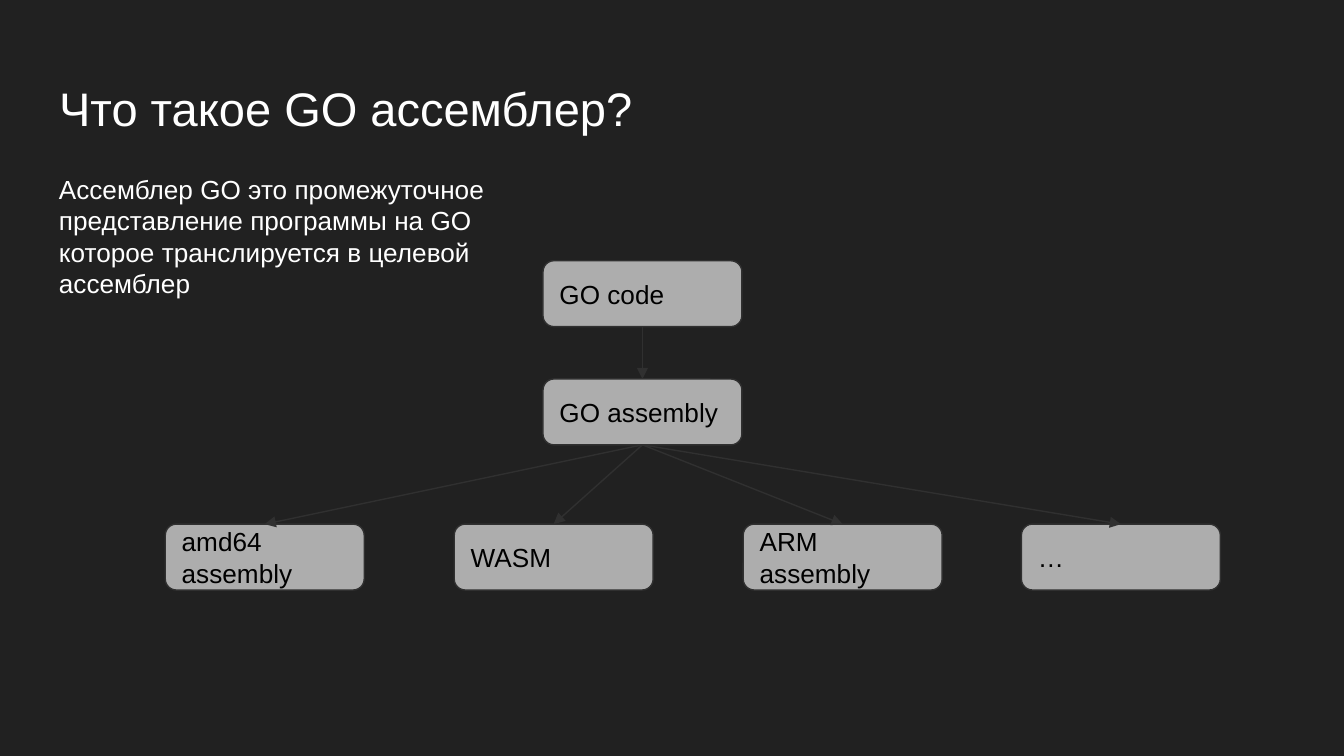
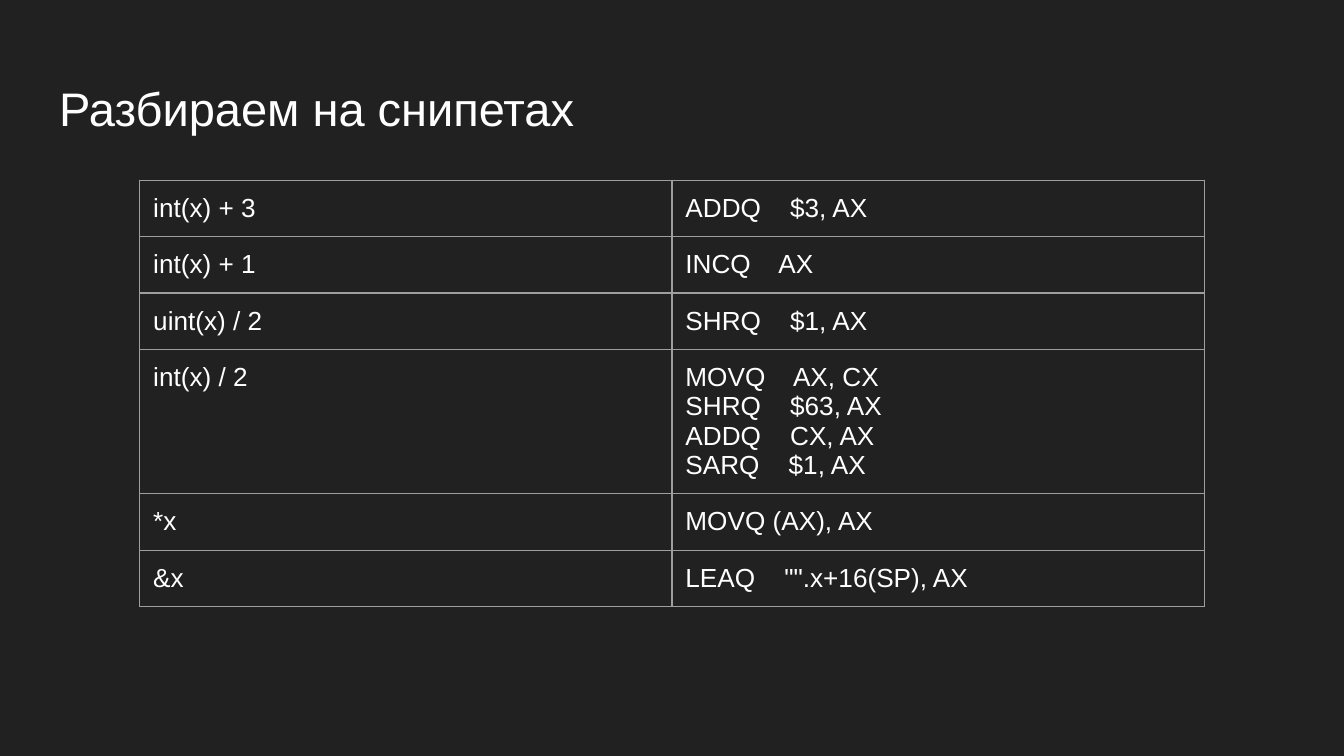
from lxml.etree import SubElement
from pptx import Presentation
from pptx.dml.color import RGBColor
from pptx.enum.shapes import MSO_CONNECTOR, MSO_SHAPE
from pptx.enum.text import MSO_ANCHOR, MSO_AUTO_SIZE, PP_ALIGN
from pptx.oxml.ns import qn
from pptx.util import Inches, Pt

# Content
TITLES = ["Что такое GO ассемблер?", "Разбираем на снипетах"]
INTRO = ("Ассемблер GO это промежуточное представление программы на GO "
         "которое транслируется в целевой ассемблер")
STAGES = [("GO code", 1.94), ("GO assembly", 2.82)]
TARGETS = [("amd64 assembly", 1.23), ("WASM", 3.38),
           ("ARM assembly", 5.53), ("…", 7.6)]
SNIPPETS = [
    ("int(x) + 3", ["ADDQ    $3, AX"]),
    ("int(x) + 1", ["INCQ    AX"]),
    ("uint(x) / 2", ["SHRQ    $1, AX"]),
    ("int(x) / 2", ["MOVQ    AX, CX", "SHRQ    $63, AX",
                    "ADDQ    CX, AX", "SARQ    $1, AX"]),
    ("*x", ["MOVQ (AX), AX"]),
    ("&x", ['LEAQ    "".x+16(SP), AX']),
]

# Shared style
COLORS = {"bg": "212121", "text": "FFFFFF", "box": "ADADAD",
          "box_text": "000000", "line": "303030", "grid": "9E9E9E"}
FONT = "Arial"
TITLE_SIZE, BODY_SIZE = 25.2, 14
INSET = Inches(0.1)
LINE_WIDTH = Pt(0.75)
MARGIN = 0.34
BOX_W, BOX_H = 1.48, 0.49
STAGE_X, TARGET_Y = 4.04, 3.9
COL_W, ROW_H = 3.96, 0.42


def rgb(name):
    return RGBColor.from_string(COLORS[name])


def write(tf, lines, size=BODY_SIZE, color="text"):
    tf.word_wrap = True
    for i, line in enumerate(lines):
        p = tf.paragraphs[0] if i == 0 else tf.add_paragraph()
        p.alignment = PP_ALIGN.LEFT
        p.line_spacing = 1.0
        r = p.add_run()
        r.text = line
        r.font.name = FONT
        r.font.size = Pt(size)
        r.font.color.rgb = rgb(color)


def set_insets(item):
    item.margin_left = item.margin_right = INSET
    item.margin_top = item.margin_bottom = INSET


def add_slide(prs, title):
    s = prs.slides.add_slide(prs.slide_layouts[5])
    sp = s.shapes.title
    sp.left, sp.top = Inches(MARGIN), Inches(0.49)
    sp.width, sp.height = Inches(10 - 2 * MARGIN), Inches(0.63)
    tf = sp.text_frame
    set_insets(tf)
    tf.vertical_anchor = MSO_ANCHOR.TOP
    tf.auto_size = MSO_AUTO_SIZE.NONE
    write(tf, [title], TITLE_SIZE)
    return s


def add_box(s, label, x, y):
    sp = s.shapes.add_shape(MSO_SHAPE.ROUNDED_RECTANGLE, Inches(x), Inches(y),
                            Inches(BOX_W), Inches(BOX_H))
    sp.shadow.inherit = False
    sp.fill.solid()
    sp.fill.fore_color.rgb = rgb("box")
    sp.line.color.rgb = rgb("line")
    sp.line.width = LINE_WIDTH
    tf = sp.text_frame
    set_insets(tf)
    tf.vertical_anchor = MSO_ANCHOR.MIDDLE
    write(tf, [label], color="box_text")
    return sp


def add_arrow(s, source, target):
    c = s.shapes.add_connector(MSO_CONNECTOR.STRAIGHT, 0, 0, 0, 0)
    c.begin_connect(source, 2)  # bottom middle
    c.end_connect(target, 0)    # top middle
    c.line.color.rgb = rgb("line")
    c.line.width = LINE_WIDTH
    SubElement(c.line._get_or_add_ln(), qn("a:tailEnd"), type="triangle")
    SubElement(c._element.spPr, qn("a:effectLst"))


def add_borders(cell):
    tcPr = cell._tc.get_or_add_tcPr()
    for i, side in enumerate(("lnL", "lnR", "lnT", "lnB")):
        ln = tcPr.makeelement(qn("a:" + side), {"w": str(LINE_WIDTH)})
        fill = SubElement(ln, qn("a:solidFill"))
        SubElement(fill, qn("a:srgbClr"), val=COLORS["grid"])
        tcPr.insert(i, ln)


def build_diagram(prs):
    s = add_slide(prs, TITLES[0])
    code, assembly = [add_box(s, label, STAGE_X, y) for label, y in STAGES]
    targets = [add_box(s, label, x, TARGET_Y) for label, x in TARGETS]
    add_arrow(s, code, assembly)
    for target in targets:
        add_arrow(s, assembly, target)

    # Introduction
    sp = s.shapes.add_textbox(Inches(MARGIN), Inches(1.19),
                              Inches(3.7), Inches(1.14))
    set_insets(sp.text_frame)
    sp.text_frame.auto_size = MSO_AUTO_SIZE.SHAPE_TO_FIT_TEXT
    write(sp.text_frame, [INTRO])


def build_snippets(prs):
    s = add_slide(prs, TITLES[1])
    table = s.shapes.add_table(len(SNIPPETS), 2, Inches(1.04), Inches(1.34),
                               Inches(2 * COL_W),
                               Inches(ROW_H * len(SNIPPETS))).table
    table.first_row = table.horz_banding = False
    for row, (source, output) in enumerate(SNIPPETS):
        for col, lines in enumerate(([source], output)):
            cell = table.cell(row, col)
            cell.fill.background()
            set_insets(cell)
            add_borders(cell)
            write(cell.text_frame, lines)


def main():
    prs = Presentation()
    prs.slide_width = Inches(10)
    prs.slide_height = prs.slide_width * 9 // 16
    fill = prs.slide_master.background.fill
    fill.solid()
    fill.fore_color.rgb = rgb("bg")
    build_diagram(prs)
    build_snippets(prs)
    prs.save("out.pptx")


if __name__ == "__main__":
    main()
